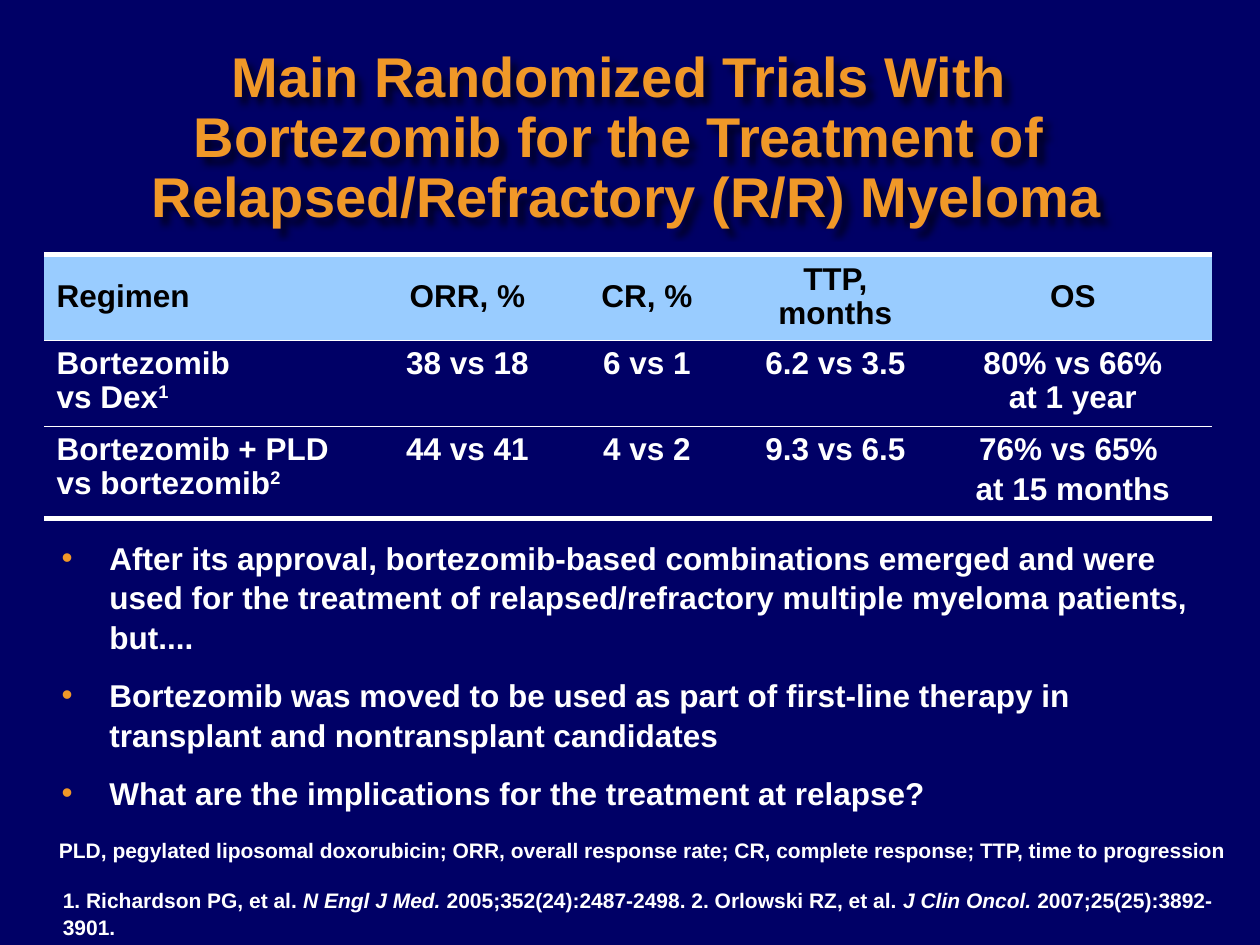
"""Build a slide on randomized bortezomib trials in relapsed/refractory myeloma."""
from lxml import etree
from pptx import Presentation
from pptx.dml.color import RGBColor
from pptx.enum.text import MSO_ANCHOR, PP_ALIGN
from pptx.oxml import parse_xml
from pptx.oxml.ns import nsdecls, qn
from pptx.util import Inches, Pt

NAVY = RGBColor(0x00, 0x00, 0x66)
ORANGE = RGBColor(0xF0, 0x98, 0x28)
SKY = RGBColor(0x99, 0xCC, 0xFF)
WHITE = RGBColor(0xFF, 0xFF, 0xFF)
BLACK = RGBColor(0x00, 0x00, 0x00)
NO_STYLE = "{2D5ABB26-0587-4C30-8999-92F81FD0307C}"


def add_text(p, text, size, color, **extra):
    for i, line in enumerate(text.split("\n")):
        if i:
            p.add_line_break()
        r = p.add_run()
        r.text = line
        fmt = {"name": "Arial", "size": Pt(size), "bold": True, **extra}
        for key, value in fmt.items():
            setattr(r.font, key, value)
        r.font.color.rgb = color
    return r


def add_box(left, top, width, height, **fmt):
    sp = s.shapes.add_textbox(Inches(left), Inches(top), Inches(width), Inches(height))
    tf = sp.text_frame
    tf.word_wrap = True
    for key, value in fmt.items():
        setattr(tf, key, value)
    return sp, tf


prs = Presentation()
prs.slide_width, prs.slide_height = Inches(10), Inches(7.5)
s = prs.slides.add_slide(prs.slide_layouts[6])
s.background.fill.solid()
s.background.fill.fore_color.rgb = NAVY

sp, tf = add_box(0.1, 0.61, 9.75, 1, vertical_anchor=MSO_ANCHOR.MIDDLE)
p = tf.paragraphs[0]
p.alignment, p.line_spacing = PP_ALIGN.CENTER, 0.89
add_text(p, "Main Randomized Trials With \nBortezomib for the Treatment of \n"
            "Relapsed/Refractory (R/R) Myeloma", 32, ORANGE)
sp._element.spPr.append(parse_xml(
    f'<a:effectLst {nsdecls("a")}><a:outerShdw blurRad="50800" dist="50800" dir="2700000">'
    '<a:srgbClr val="000000"><a:alpha val="60000"/></a:srgbClr></a:outerShdw></a:effectLst>'))

rows = [
    ["Regimen", "ORR, %", "CR, %", "TTP, months", "OS"],
    ["Bortezomib\nvs Dex", "38 vs 18", "6 vs 1", "6.2 vs 3.5", "80% vs 66%\nat 1 year"],
    ["Bortezomib + PLD vs bortezomib", "44 vs 41", "4 vs 2", "9.3 vs 6.5",
     ("76% vs 65% ", "at 15 months")],
]
col_widths = [2.65, 1.42, 1.43, 1.56, 2.21]
row_heights = [0.66, 0.66, 0.7]
borders = [{"lnT": 3, "lnB": 1}, {"lnT": 1}, {"lnB": 3}]

table = s.shapes.add_table(3, 5, Inches(0.35), Inches(2.02), Inches(sum(col_widths)),
                           Inches(sum(row_heights))).table
table._tbl.tblPr.find(qn("a:tableStyleId")).text = NO_STYLE
for col, width in zip(table.columns, col_widths):
    col.width = Inches(width)
for i, row in enumerate(rows):
    table.rows[i].height = Inches(row_heights[i])
    for j, value in enumerate(row):
        cell = table.cell(i, j)
        if i == 0:
            cell.fill.solid()
            cell.fill.fore_color.rgb = SKY
            cell.vertical_anchor = MSO_ANCHOR.MIDDLE
        else:
            cell.fill.background()
        tf = cell.text_frame
        for k, text in enumerate(value if isinstance(value, tuple) else (value,)):
            p = tf.add_paragraph() if k else tf.paragraphs[0]
            p.alignment = PP_ALIGN.CENTER if j else PP_ALIGN.LEFT
            p.line_spacing = 0.97
            if k:
                p.space_before = Pt(3.6)
            add_text(p, text, 18, WHITE if i else BLACK)
        if i and j == 0:
            r = add_text(p, str(i), 18, WHITE)
            r.font._element.set("baseline", "30000")
        tcPr = cell._tc.get_or_add_tcPr()
        for pos, (tag, width) in enumerate(borders[i].items()):
            tcPr.insert(pos, parse_xml(
                f'<a:{tag} {nsdecls("a")} w="{Pt(width)}"><a:solidFill>'
                f'<a:srgbClr val="{WHITE}"/></a:solidFill></a:{tag}>'))

bullets = [
    "After its approval, bortezomib-based combinations emerged and were used for the "
    "treatment of relapsed/refractory multiple myeloma patients, but....",
    "Bortezomib was moved to be used as part of first-line therapy in transplant and "
    "nontransplant candidates",
    "What are the implications for the treatment at relapse?",
]
sp, tf = add_box(0.39, 4.21, 9.31, 2.22)
for i, text in enumerate(bullets):
    p = tf.add_paragraph() if i else tf.paragraphs[0]
    pPr = p._p.get_or_add_pPr()
    pPr.set("marL", str(Inches(0.38)))
    pPr.set("indent", str(Inches(-0.38)))
    color = etree.SubElement(pPr, qn("a:buClr"))
    etree.SubElement(color, qn("a:srgbClr"), val=str(ORANGE))
    etree.SubElement(pPr, qn("a:buFont"), typeface="Arial")
    etree.SubElement(pPr, qn("a:buChar"), char="•")
    p.line_spacing = 1.05
    if i:
        p.space_before = Pt(10.5)
    add_text(p, text, 18, WHITE)

sp, tf = add_box(0.37, 6.6, 9.6, 0.3)
add_text(tf.paragraphs[0], "PLD, pegylated liposomal doxorubicin; ORR, overall response rate; "
         "CR, complete response; TTP, time to progression", 12, WHITE)

references = [
    ("1. Richardson PG, et al. ", False),
    ("N Engl J Med. ", True),
    ("2005;352(24):2487-2498. 2. Orlowski RZ, et al. ", False),
    ("J Clin Oncol. ", True),
    ("2007;25(25):3892-3901.", False),
]
sp, tf = add_box(0.4, 6.99, 9.38, 0.51)
p = tf.paragraphs[0]
p.line_spacing = 1.04
for text, italic in references:
    add_text(p, text, 12, WHITE, italic=italic)

prs.save("out.pptx")
